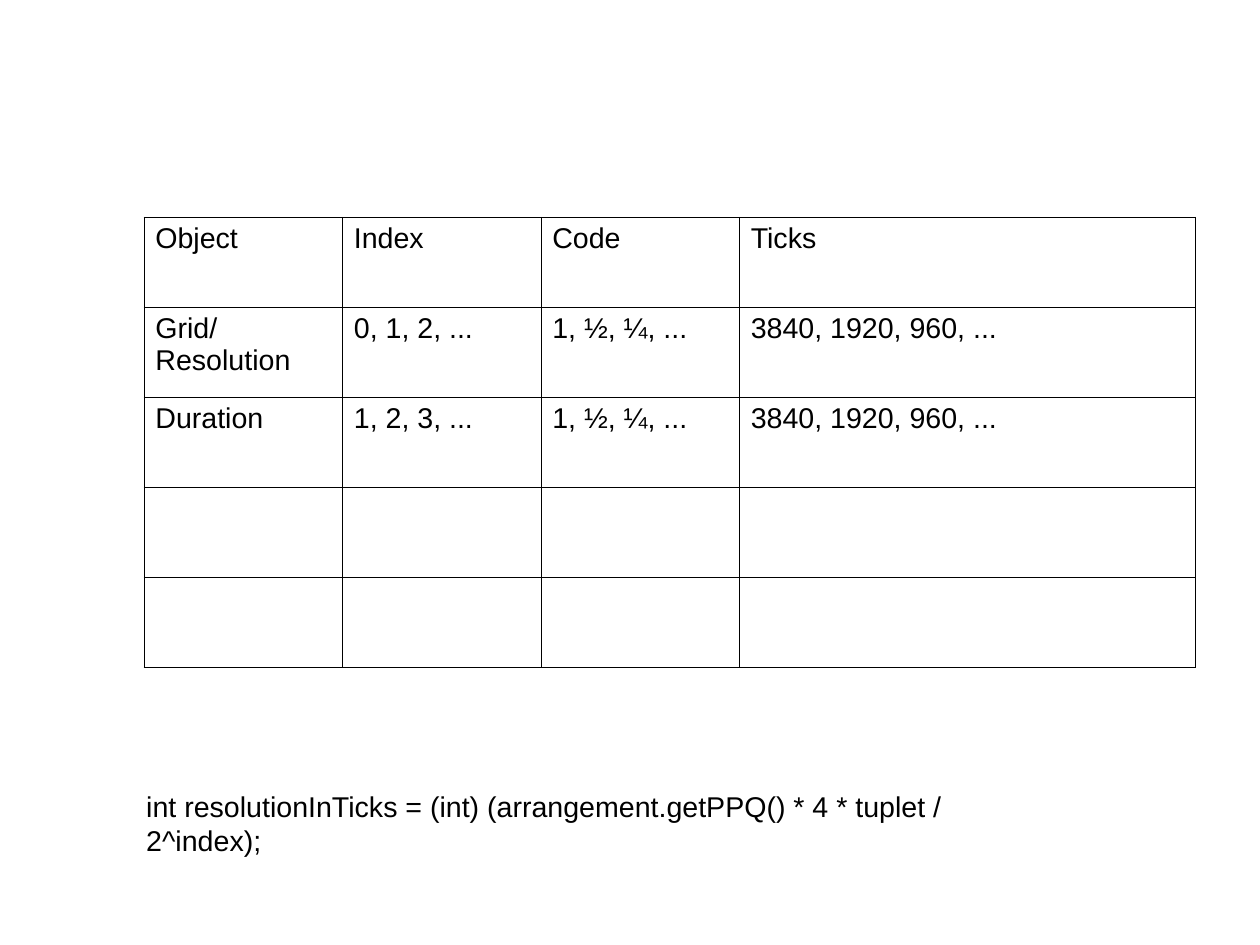
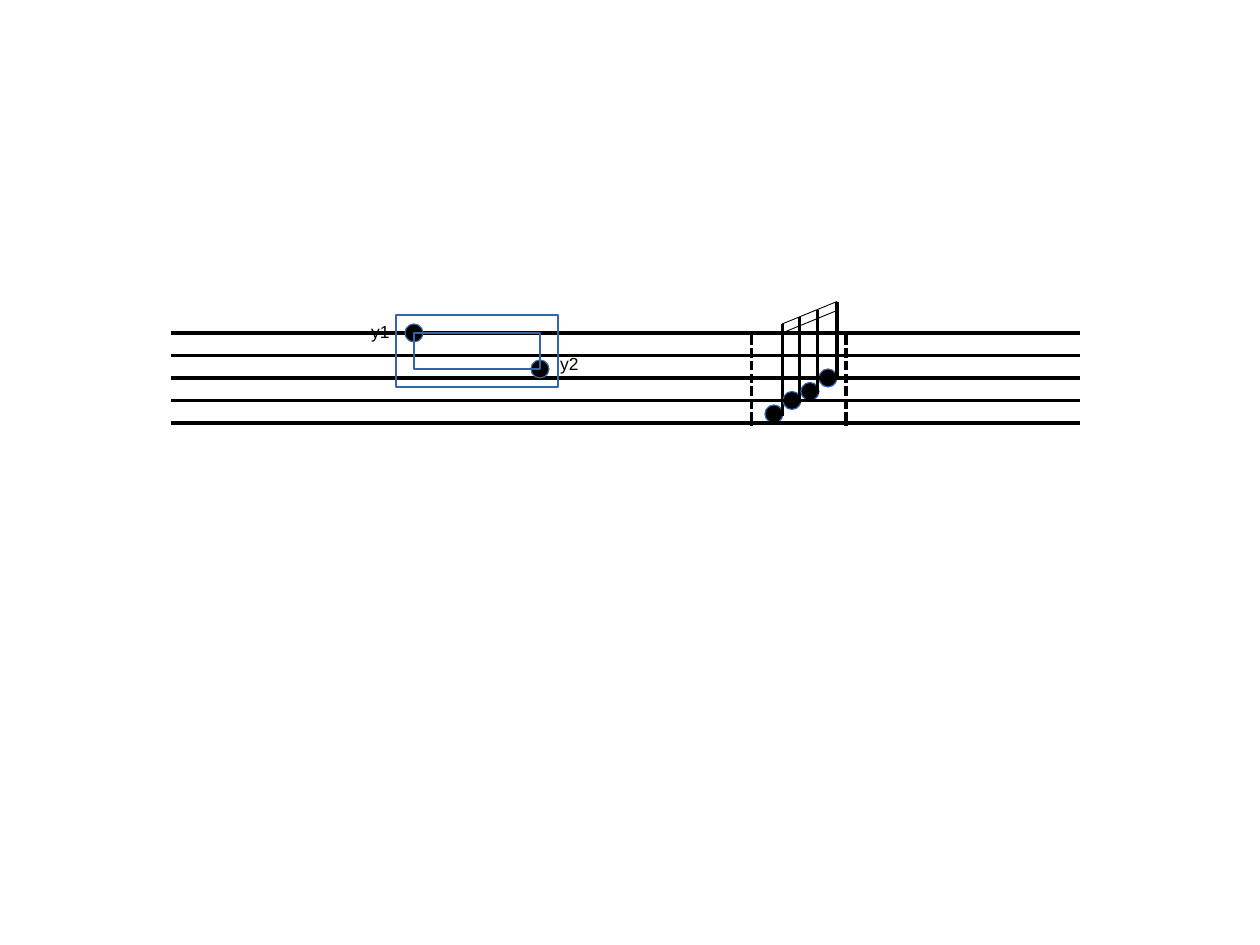
import dataclasses

import pptx
import pptx.dml.color
import pptx.enum.dml
import pptx.enum.shapes
import pptx.enum.text
import pptx.oxml
import pptx.oxml.ns
import pptx.util

# The slide is a grid of 28 columns by 21 rows; all lengths are counted in cells.
COLUMNS, ROWS = 28, 21
CELL = pptx.util.Cm(1)


@dataclasses.dataclass(frozen=True)
class Theme:
    font: str = "Arial"
    ink: str = "000000"
    accent: str = "3465A4"
    body_size: float = 18
    label_size: float = 11
    hairline: float = 0
    thin: float = 0.57
    frame: float = 1


THEME = Theme()


def cells(count):
    return round(count * CELL)


def color(value):
    return pptx.dml.color.RGBColor.from_string(value)


def set_line(line, value, width):
    line.color.rgb = color(value)
    line.width = pptx.util.Pt(width)


# Text
def add_run(paragraph, text, size):
    run = paragraph.add_run()
    run.text = text
    run.font.name = THEME.font
    run.font.size = pptx.util.Pt(size)
    run.font.color.rgb = color(THEME.ink)


def add_text(slide, text, left, top, width, height, size, wrap=True):
    box = slide.shapes.add_textbox(*map(cells, (left, top, width, height)))
    frame = box.text_frame
    frame.word_wrap = wrap
    frame.auto_size = pptx.enum.text.MSO_AUTO_SIZE.SHAPE_TO_FIT_TEXT
    add_run(frame.paragraphs[0], text, size)


# Lines and outlines
def add_line(slide, start, end, width=THEME.hairline, dashed=False):
    line = slide.shapes.add_connector(
        pptx.enum.shapes.MSO_CONNECTOR.STRAIGHT, *map(cells, (*start, *end)))
    set_line(line.line, THEME.ink, width)
    if dashed:
        line.line.dash_style = pptx.enum.dml.MSO_LINE.SQUARE_DOT
    line._element.spPr.append(pptx.oxml.parse_xml(
        f'<a:effectLst {pptx.oxml.ns.nsdecls("a")}/>'))


def add_outlined(slide, kind, left, top, width, height, line_width, fill=None):
    shape = slide.shapes.add_shape(kind, *map(cells, (left, top, width, height)))
    shape.shadow.inherit = False
    if fill:
        shape.fill.solid()
        shape.fill.fore_color.rgb = color(fill)
    else:
        shape.fill.background()
    set_line(shape.line, THEME.accent, line_width)


def add_note(slide, center, radius=0.2):
    x, y = center
    add_outlined(slide, pptx.enum.shapes.MSO_SHAPE.OVAL, x - radius, y - radius,
                 2 * radius, 2 * radius, THEME.hairline, THEME.ink)


def add_frame(slide, first, last, margin=0):
    (left, top), (right, bottom) = first, last
    add_outlined(slide, pptx.enum.shapes.MSO_SHAPE.RECTANGLE, left - margin, top - margin,
                 right - left + 2 * margin, bottom - top + 2 * margin, THEME.frame)


# Table
def set_borders(cell):
    properties = cell._tc.get_or_add_tcPr()
    for side in "LRTB":
        properties.append(pptx.oxml.parse_xml(
            f'<a:ln{side} {pptx.oxml.ns.nsdecls("a")} w="{pptx.util.Pt(THEME.thin)}">'
            f'<a:solidFill><a:srgbClr val="{THEME.ink}"/></a:solidFill></a:ln{side}>'))


def add_grid_table(slide, rows, left, top, widths, row_height):
    table = slide.shapes.add_table(
        len(rows), len(widths), cells(left), cells(top),
        cells(sum(widths)), cells(row_height * len(rows))).table
    table.first_row = table.horz_banding = False
    for column, width in zip(table.columns, widths):
        column.width = cells(width)
    for row, texts in zip(table.rows, rows):
        row.height = cells(row_height)
        for cell, text in zip(row.cells, texts):
            set_borders(cell)
            cell.fill.background()
            if text:
                add_run(cell.text_frame.paragraphs[0], text, THEME.body_size)


# Slides
def build_resolution_slide(slide):
    rows = [
        ("Object", "Index", "Code", "Ticks"),
        ("Grid/ Resolution", "0, 1, 2, ...", "1, ½, ¼, ...", "3840, 1920, 960, ..."),
        ("Duration", "1, 2, 3, ...", "1, ½, ¼, ...", "3840, 1920, 960, ..."),
        ("",) * 4,
        ("",) * 4,
    ]
    add_grid_table(slide, rows, 3.2, 4.83, (4.41, 4.41, 4.41, 10.14), 2)
    add_text(slide,
             "int resolutionInTicks = (int) (arrangement.getPPQ() * 4 * tuplet / 2^index);",
             3, 17.4, 20.9, 0.97, THEME.body_size, wrap=False)


def build_staff_slide(slide):
    staff_top, staff_gap = 7.4, 0.5

    # Limits of the beamed group
    for x in (16.7, 18.8):
        add_line(slide, (x, 7.45), (x, 9.45), dashed=True)

    # Beamed group: note heads, stems up to the beam, two beams
    note_heights = (9.2, 8.9, 8.7, 8.4)
    stem_columns = (17.38, 17.76, 18.16, 18.6)
    first, last = stem_columns[0], stem_columns[-1]
    beam_start, beam_end, beam_gap = 7.2, 6.7, 0.2
    slope = (beam_end - beam_start) / (last - first)
    for index, (x, y) in enumerate(zip(stem_columns, note_heights)):
        add_note(slide, (17.2 + 0.4 * index, y))
        add_line(slide, (x, y + 0.05), (x, beam_start + slope * (x - first)))
    for offset in (0, beam_gap):
        add_line(slide, (first, beam_start + offset), (last, beam_end + offset), THEME.thin)

    # Staff
    for index in range(5):
        y = staff_top + staff_gap * index
        add_line(slide, (3.8, y), (24, y))

    # Two notes, their labels and the frames around them
    high, low = (9.2, staff_top), (12, 8.2)
    for note in (high, low):
        add_note(slide, note)
    for text, left, top in (("y1", 8, 7), ("y2", 12.2, 7.72)):
        add_text(slide, text, left, top, 1, 0.68, THEME.label_size)
    for margin in (0, 0.4):
        add_frame(slide, high, low, margin)


def main():
    presentation = pptx.Presentation()
    presentation.slide_width = cells(COLUMNS)
    presentation.slide_height = cells(ROWS)
    blank = presentation.slide_layouts[6]
    for build in (build_resolution_slide, build_staff_slide):
        build(presentation.slides.add_slide(blank))
    presentation.save("out.pptx")


if __name__ == "__main__":
    main()
